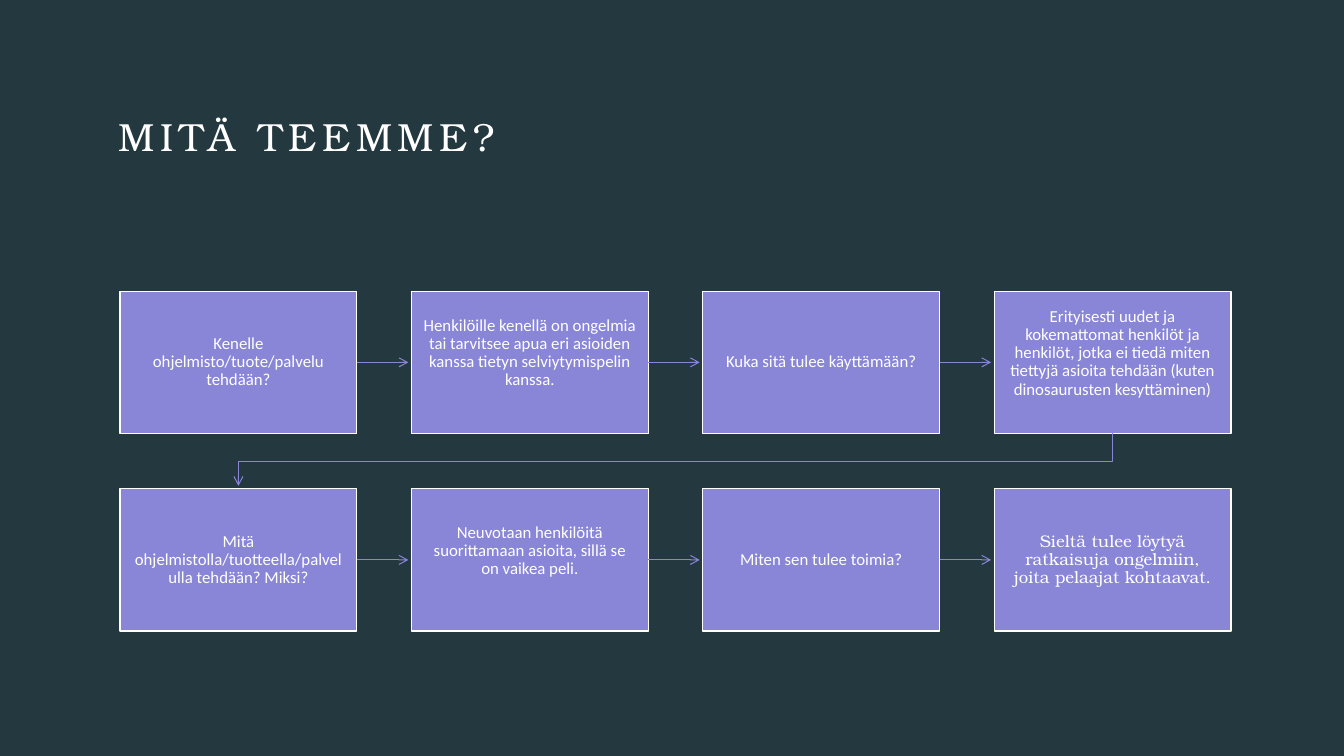
from lxml.etree import SubElement
from pptx import Presentation
from pptx.dml.color import RGBColor
from pptx.enum.shapes import MSO_CONNECTOR, MSO_SHAPE
from pptx.enum.text import MSO_ANCHOR, PP_ALIGN
from pptx.oxml.ns import qn
from pptx.util import Inches, Pt

# Content: (text, font, lift of the text's bottom margin)
TITLE = "MITÄ TEEMME?"
SANS, SERIF = "Calibri", "TeX Gyre Bonum"
ROWS = [
    [("Kenelle ohjelmisto/tuote/palvelu tehdään?", SANS, 0),
     ("Henkilöille kenellä on ongelmia tai tarvitsee apua eri asioiden "
      "kanssa tietyn selviytymispelin kanssa.", SANS, 0.18),
     ("Kuka sitä tulee käyttämään?", SANS, 0),
     ("Erityisesti uudet ja kokemattomat henkilöt ja henkilöt, jotka ei tiedä "
      "miten tiettyjä asioita tehdään (kuten dinosaurusten kesyttäminen)", SANS, 0.18)],
    [("Mitä ohjelmistolla/tuotteella/palvelulla tehdään? Miksi?", SANS, 0),
     ("Neuvotaan henkilöitä suorittamaan asioita, sillä se on vaikea peli.", SANS, 0.18),
     ("Miten sen tulee toimia?", SANS, 0),
     ("Sieltä tulee löytyä ratkaisuja ongelmiin, joita pelaajat kohtaavat.", SERIF, 0)],
]

# Layout and colours
LEFT, TOP, BOX_W, BOX_H = 1.19, 2.89, 2.35, 1.41
PITCH_X, PITCH_Y = 2.89, 1.96
ARROW_GAP, INSET = 0.03, 0.12
BACK, VIOLET, WHITE = "24393F", "8985D7", "FFFFFF"


def rgb(value):
    return RGBColor.from_string(value)


def set_attrs(obj, values):
    for name, value in values.items():
        setattr(obj, name, value)


def add_text(tf, text, font, size, frame, para):
    set_attrs(tf, {"word_wrap": True, **frame})
    p = tf.paragraphs[0]
    set_attrs(p, para)
    r = p.add_run()
    r.text = text
    set_attrs(r.font, {"name": font, "size": Pt(size)})
    r.font.color.rgb = rgb(WHITE)
    return r


def style_arrow(sp):
    sp.line.color.rgb = rgb(VIOLET)
    sp.line.width = Pt(0.75)
    SubElement(sp.line._get_or_add_ln(), qn("a:tailEnd"), type="arrow")


prs = Presentation()
set_attrs(prs, {"slide_width": Inches(13.33), "slide_height": Inches(7.5)})
s = prs.slides.add_slide(prs.slide_layouts[6])
s.background.fill.solid()
s.background.fill.fore_color.rgb = rgb(BACK)

# Title
tb = s.shapes.add_textbox(Inches(1.18), Inches(1.11), Inches(10.97), Inches(0.72))
no_margin = dict.fromkeys(("margin_left", "margin_top", "margin_right", "margin_bottom"), 0)
r = add_text(tb.text_frame, TITLE, SERIF, 28, no_margin, {})
r.font._element.set("spc", "400")

# Boxes
grid = []
for row, items in enumerate(ROWS):
    grid.append([])
    for col, (text, font, lift) in enumerate(items):
        sp = s.shapes.add_shape(
            MSO_SHAPE.RECTANGLE, Inches(LEFT + col * PITCH_X),
            Inches(TOP + row * PITCH_Y), Inches(BOX_W), Inches(BOX_H))
        sp.shadow.inherit = False
        sp.fill.solid()
        sp.fill.fore_color.rgb = rgb(VIOLET)
        sp.line.color.rgb = rgb(WHITE)
        sp.line.width = Pt(0.85)
        frame = {**dict.fromkeys(no_margin, Inches(INSET)),
                 "margin_bottom": Inches(INSET + lift),
                 "vertical_anchor": MSO_ANCHOR.MIDDLE}
        add_text(sp.text_frame, text, font, 12, frame,
                 {"alignment": PP_ALIGN.CENTER, "line_spacing": 0.9})
        grid[row].append(sp)

# Arrows along each row
for boxes in grid:
    for box, following in zip(boxes, boxes[1:]):
        y = box.top + box.height // 2
        cn = s.shapes.add_connector(
            MSO_CONNECTOR.STRAIGHT, box.left + box.width, y,
            following.left - Inches(ARROW_GAP), y)
        cn.begin_connect(box, 3)
        style_arrow(cn)
        SubElement(cn._element.spPr, qn("a:effectLst"))

# Bent arrow from the end of the first row to the start of the second
last, first = grid[0][-1], grid[1][0]
x1, x2 = last.left + last.width // 2, first.left + first.width // 2
y1, y2 = last.top + last.height, first.top - Inches(ARROW_GAP)
bend = (y1 + first.top) // 2
fb = s.shapes.build_freeform(x1, y1)
fb.add_line_segments([(x1, bend), (x2, bend), (x2, y2)], close=False)
sp = fb.convert_to_shape()
sp.fill.background()
sp.shadow.inherit = False
style_arrow(sp)

prs.save("out.pptx")
